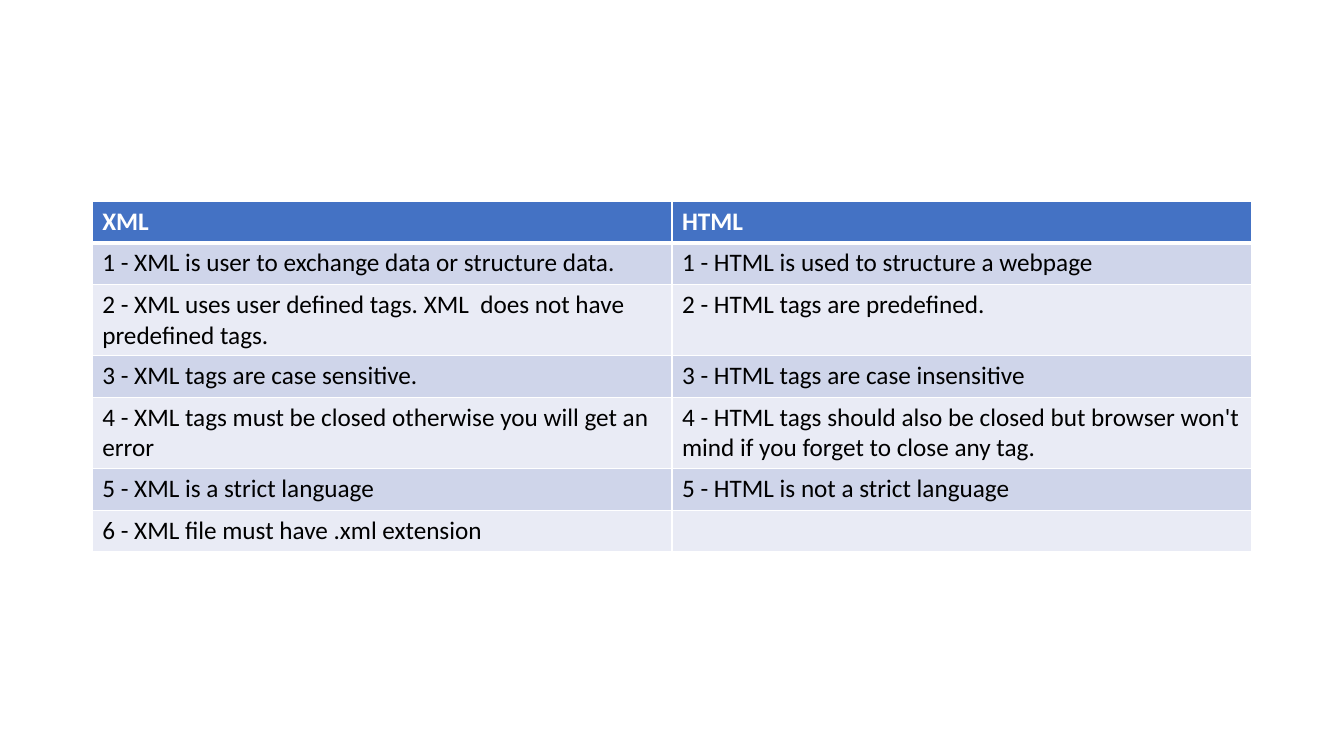
from lxml.etree import SubElement
from pptx import Presentation
from pptx.dml.color import RGBColor
from pptx.oxml.ns import qn
from pptx.util import Inches, Pt

ROWS = [
    ("XML", "HTML"),
    ("1 - XML is user to exchange data or structure data.",
     "1 - HTML is used to structure a webpage"),
    ("2 - XML uses user defined tags. XML  does not have predefined tags.",
     "2 - HTML tags are predefined."),
    ("3 - XML tags are case sensitive.",
     "3 - HTML tags are case insensitive"),
    ("4 - XML tags must be closed otherwise you will get an error",
     "4 - HTML tags should also be closed but browser won't mind "
     "if you forget to close any tag."),
    ("5 - XML is a strict language", "5 - HTML is not a strict language"),
    ("6 - XML file must have .xml extension", ""),
]
HEADER_FILL, BAND_FILLS = "4472C4", ("E9EBF5", "CFD5EA")
COLUMN_WIDTH, ROW_HEIGHT = 5.75, 0.41


def write_cell(cell, text, fill, color="000000", bold=False, top=1, bottom=1):
    """Fill one cell with text, white borders (widths in points) and a colour."""
    properties = cell._tc.get_or_add_tcPr()
    for side, width in (("L", 1), ("R", 1), ("T", top), ("B", bottom)):
        line = SubElement(properties, qn(f"a:ln{side}"), w=str(Pt(width)))
        SubElement(SubElement(line, qn("a:solidFill")), qn("a:srgbClr"), val="FFFFFF")
    cell.fill.solid()
    cell.fill.fore_color.rgb = RGBColor.from_string(fill)
    para = cell.text_frame.paragraphs[0]
    para.font.size = Pt(18)
    if text:
        span = para.add_run()
        span.text = text
        span.font.name, span.font.size, span.font.bold = "Calibri", Pt(18), bold
        span.font.color.rgb = RGBColor.from_string(color)


deck = Presentation()
deck.slide_width, deck.slide_height = Inches(13.33), Inches(7.5)
page = deck.slides.add_slide(deck.slide_layouts[6])

# Comparison table, centred across the slide
table_width = 2 * COLUMN_WIDTH
table = page.shapes.add_table(
    len(ROWS), 2, Inches((13.33 - table_width) / 2), Inches(2),
    Inches(table_width), Inches(ROW_HEIGHT * len(ROWS))).table
for column in table.columns:
    column.width = Inches(COLUMN_WIDTH)

# Header row, then alternating bands
for index, texts in enumerate(ROWS):
    table.rows[index].height = Inches(ROW_HEIGHT)
    for cell, text in zip(table.rows[index].cells, texts):
        if index == 0:
            write_cell(cell, text, HEADER_FILL, color="FFFFFF", bold=True, bottom=3)
        else:
            write_cell(cell, text, BAND_FILLS[index % 2], top=3 if index == 1 else 1)

deck.save("out.pptx")
